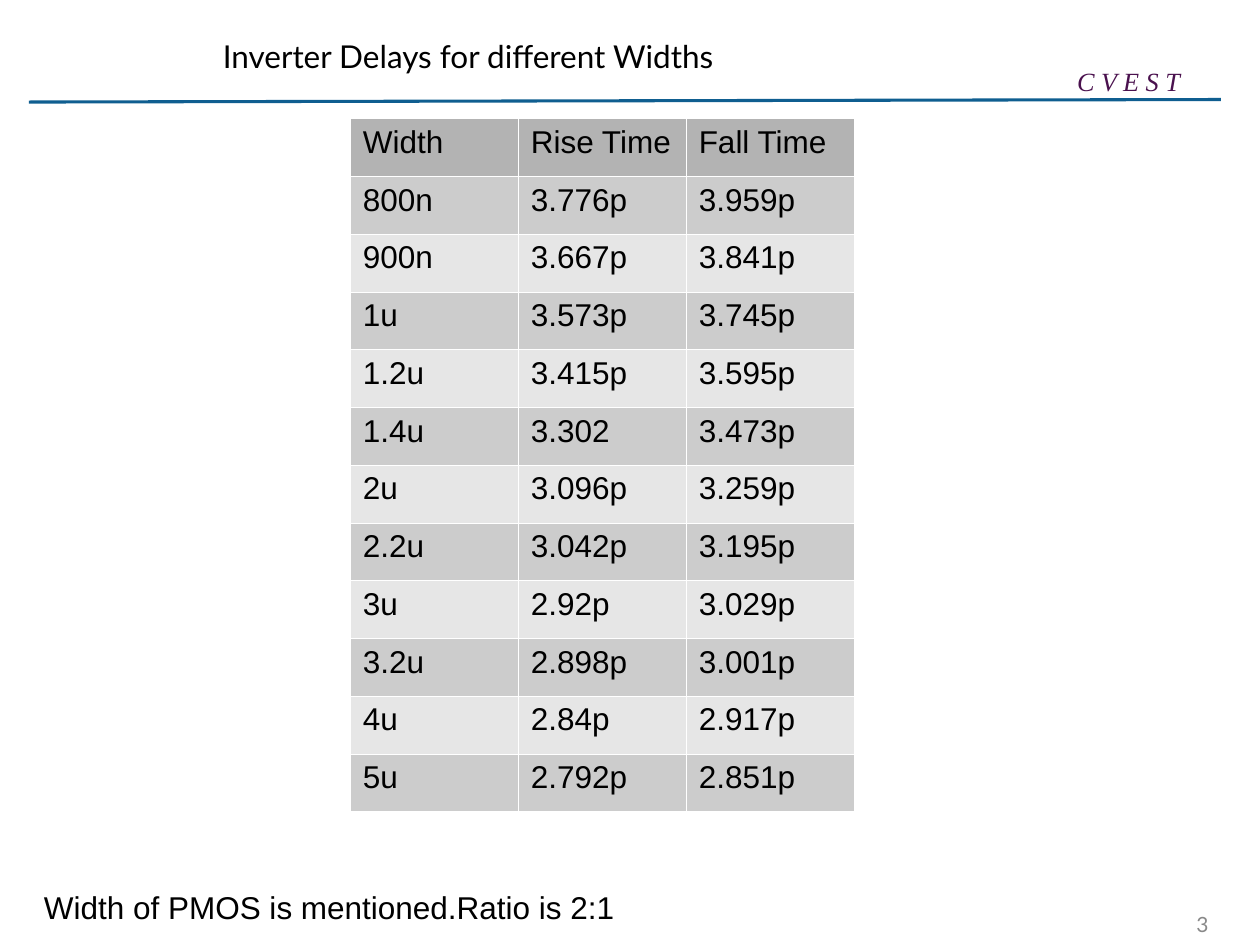
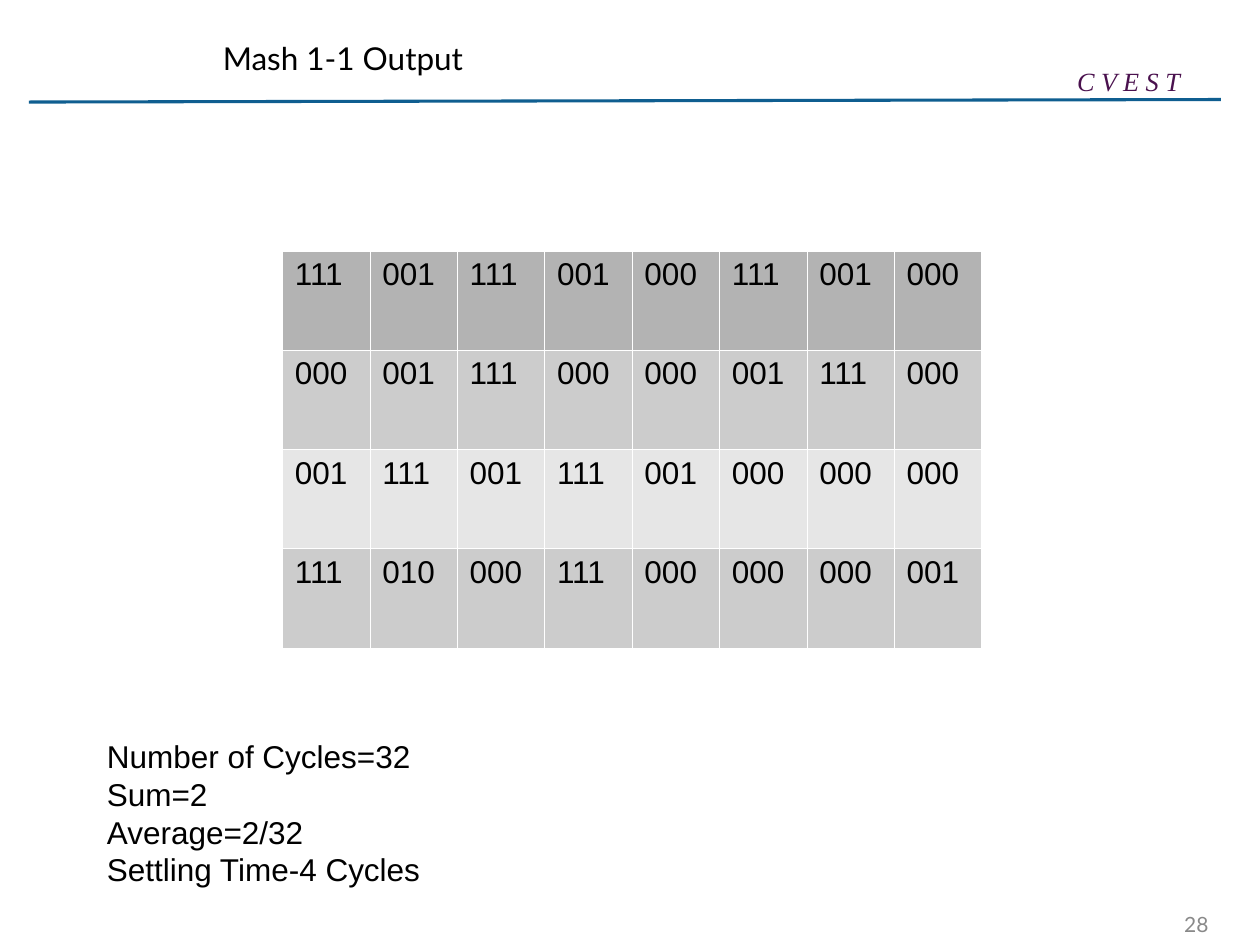
from lxml.etree import SubElement
from pptx import Presentation
from pptx.dml.color import RGBColor
from pptx.enum.shapes import MSO_CONNECTOR
from pptx.enum.text import MSO_ANCHOR, PP_ALIGN
from pptx.oxml.ns import qn
from pptx.util import Inches, Pt

# The slide is a grid of 100 columns by 75 rows; boxes are (column, row, columns, rows)
COLUMNS, ROWS = 100, 75
WIDTH, HEIGHT = Inches(10), Inches(7.5)

HEADER_FILL, BAND_FILLS = "B3B3B3", ("CCCCCC", "E6E6E6")
BLACK, WHITE, BLUE, PURPLE, GREY = "000000", "FFFFFF", "0F5E90", "4A114E", "898989"
BODY_FONT, TITLE_FONT, MARK_FONT = "Arial", "Lato", "Times New Roman"

DELAYS = [
    ("Width", "Rise Time", "Fall Time"),
    ("800n", "3.776p", "3.959p"),
    ("900n", "3.667p", "3.841p"),
    ("1u", "3.573p", "3.745p"),
    ("1.2u", "3.415p", "3.595p"),
    ("1.4u", "3.302", "3.473p"),
    ("2u", "3.096p", "3.259p"),
    ("2.2u", "3.042p", "3.195p"),
    ("3u", "2.92p", "3.029p"),
    ("3.2u", "2.898p", "3.001p"),
    ("4u", "2.84p", "2.917p"),
    ("5u", "2.792p", "2.851p"),
]
MASH_OUTPUT = [row.split() for row in (
    "111 001 111 001 000 111 001 000",
    "000 001 111 000 000 001 111 000",
    "001 111 001 111 001 000 000 000",
    "111 010 000 111 000 000 000 001",
)]


def color(hex_string):
    return RGBColor.from_string(hex_string)


def place(box):
    """Turn grid units into slide lengths."""
    left, top, width, height = box
    return (round(WIDTH * left / COLUMNS), round(HEIGHT * top / ROWS),
            round(WIDTH * width / COLUMNS), round(HEIGHT * height / ROWS))


def style(font, name, size, hex_string):
    font.name, font.size, font.bold = name, Pt(size), False
    font.color.rgb = color(hex_string)


def add_text(page, box, text, font=BODY_FONT, size=18, ink=BLACK,
             anchor=MSO_ANCHOR.TOP, align=PP_ALIGN.LEFT, wrap=True):
    frame = page.shapes.add_textbox(*place(box)).text_frame
    frame.word_wrap = wrap
    frame.vertical_anchor = anchor
    frame.text = text
    for para in frame.paragraphs:
        para.alignment = align
        for span in para.runs:
            style(span.font, font, size, ink)
    return frame


def add_borders(cell):
    properties = cell._tc.get_or_add_tcPr()
    for side in ("a:lnL", "a:lnR", "a:lnT", "a:lnB"):
        line = SubElement(properties, qn(side), w=str(Pt(0.06)))
        fill = SubElement(line, qn("a:solidFill"))
        SubElement(fill, qn("a:srgbClr"), val=WHITE)


def add_grid(page, box, rows):
    """Fill the box with a table of equal cells: dark header, banded body."""
    left, top, width, height = place(box)
    table = page.shapes.add_table(len(rows), len(rows[0]), left, top, width, height).table
    table.first_row = table.horz_banding = False
    for column in table.columns:
        column.width = width // len(rows[0])
    for r, values in enumerate(rows):
        table.rows[r].height = height // len(rows)
        for c, value in enumerate(values):
            cell = table.cell(r, c)
            cell.text = value
            style(cell.text_frame.paragraphs[0].runs[0].font, BODY_FONT, 18, BLACK)
            add_borders(cell)
            cell.fill.solid()
            cell.fill.fore_color.rgb = color(BAND_FILLS[(r - 1) % 2] if r else HEADER_FILL)


def add_page(deck, title, title_row, number):
    """Start a slide with the shared rule, mark, number and title."""
    page = deck.slides.add_slide(deck.slide_layouts[6])
    # Header rule, rising slightly to the right
    left, top, width, rise = place((2.3, 8.1, 94.6, 0.2))
    rule = page.shapes.add_connector(MSO_CONNECTOR.STRAIGHT, left, top, left + width, top - rise)
    rule.line.color.rgb = color(BLUE)
    rule.line.width = Pt(1.75)
    SubElement(rule._element.spPr, qn("a:effectLst"))
    # Centre mark
    mark = add_text(page, (84.5, 4.7, 12.9, 3.5), "C V E S T", MARK_FONT, 15, PURPLE)
    mark.paragraphs[0].runs[0].font.italic = True
    # Slide number and title
    add_text(page, (88.6, 71.7, 8.3, 3.2), str(number), TITLE_FONT, 12, GREY,
             MSO_ANCHOR.MIDDLE, PP_ALIGN.RIGHT)
    add_text(page, (16.7, title_row, 62.9, 5.8), title, TITLE_FONT, anchor=MSO_ANCHOR.MIDDLE)
    return page


def build_delays(deck):
    page = add_page(deck, "Inverter Delays for different Widths", 1.5, 3)
    add_text(page, (2.5, 70, 47.3, 3.8), "Width of PMOS is mentioned.Ratio is 2:1", wrap=False)
    add_grid(page, (27.8, 9.4, 40, 55), DELAYS)


def build_mash_output(deck):
    page = add_page(deck, "Mash 1-1 Output", 1.7, 28)
    results = add_text(page, (7.5, 58, 89, 13),
                       "Number of Cycles=32\nSum=2\nAverage=2/32\nSettling Time-4 Cycles")
    for para in results.paragraphs:
        para.line_spacing = Pt(21.6)
    add_grid(page, (22.4, 19.9, 55.5, 31.5), MASH_OUTPUT)


def main():
    deck = Presentation()
    deck.slide_width, deck.slide_height = WIDTH, HEIGHT
    build_delays(deck)
    build_mash_output(deck)
    deck.save("out.pptx")


if __name__ == "__main__":
    main()
